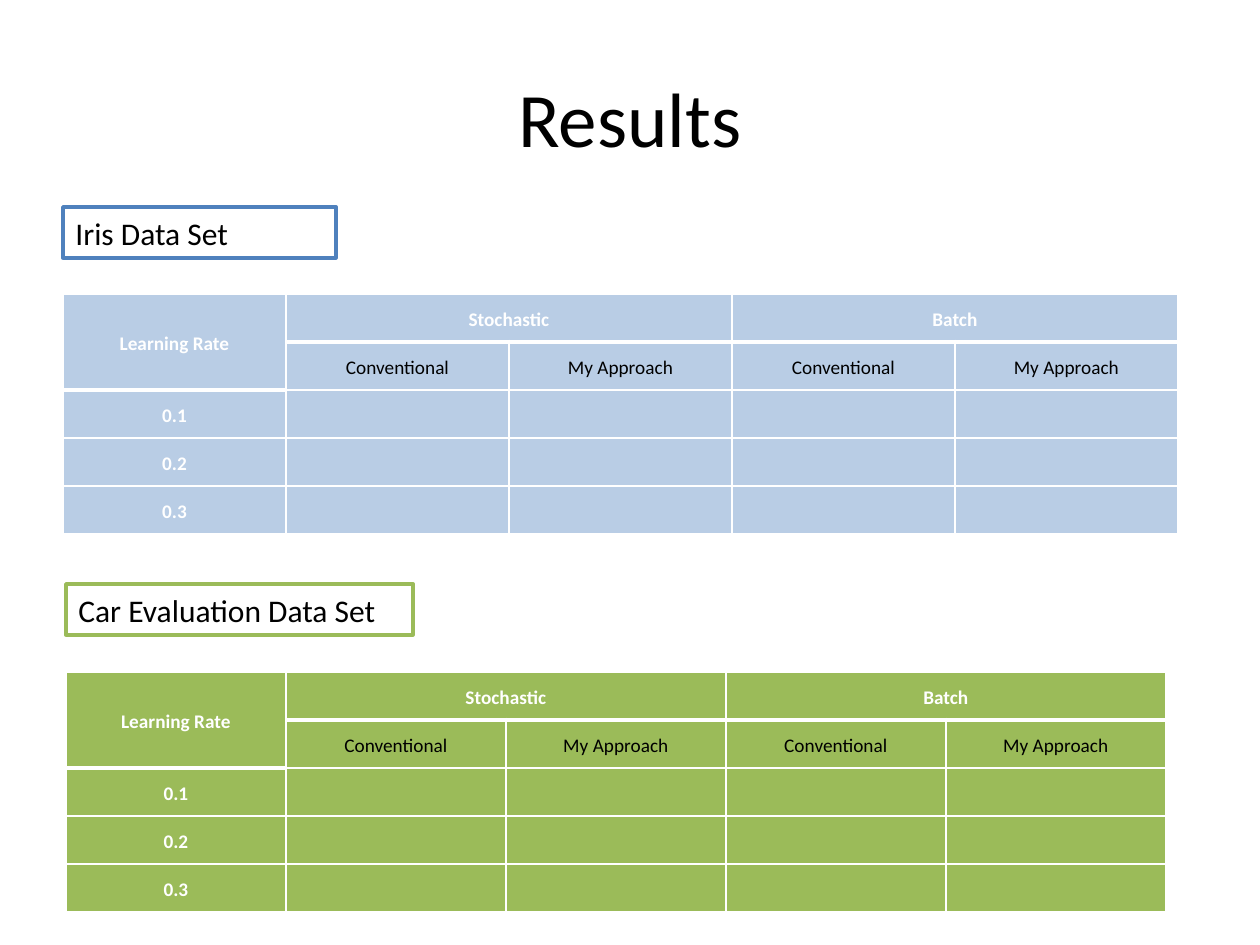
from lxml.etree import SubElement
from pptx import Presentation
from pptx.dml.color import RGBColor
from pptx.enum.shapes import MSO_SHAPE
from pptx.enum.text import MSO_ANCHOR, PP_ALIGN
from pptx.oxml.ns import qn
from pptx.util import Emu, Pt

EMU_PER_PX = 914400 / 126
FONT = "Calibri"
BLACK = RGBColor(0x00, 0x00, 0x00)
WHITE = RGBColor(0xFF, 0xFF, 0xFF)
BLUE = RGBColor(0x4F, 0x81, 0xBD)
PALE_BLUE = RGBColor(0xB9, 0xCD, 0xE5)
GREEN = RGBColor(0x9B, 0xBB, 0x59)

METHODS = ["Stochastic", "Batch"]
VARIANTS = ["Conventional", "My Approach"]
RATES = ["0.1", "0.2", "0.3"]
ROWS = [
    ["Learning Rate", METHODS[0], "", METHODS[1], ""],
    ["", *VARIANTS * len(METHODS)],
    *[[rate, "", "", "", ""] for rate in RATES],
]


def px(length):
    return Emu(round(length * EMU_PER_PX))


def add_text(text_frame, text, size, color, align, bold=False):
    paragraph = text_frame.paragraphs[0]
    paragraph.alignment = align
    run = paragraph.add_run()
    run.text = text
    run.font.name = FONT
    run.font.size = Pt(size)
    run.font.bold = bold
    run.font.color.rgb = color
    return paragraph


def add_title(slide, left, top, width, height):
    text_frame = slide.shapes.add_textbox(px(left), px(top), px(width), px(height)).text_frame
    text_frame.word_wrap = True
    text_frame.vertical_anchor = MSO_ANCHOR.MIDDLE
    add_text(text_frame, "Results", 44, BLACK, PP_ALIGN.CENTER)


def add_label(slide, left, top, width, height, text, line_color):
    shape = slide.shapes.add_shape(MSO_SHAPE.RECTANGLE, px(left), px(top), px(width), px(height))
    shape.shadow.inherit = False
    shape.fill.solid()
    shape.fill.fore_color.rgb = WHITE
    shape.line.color.rgb = line_color
    shape.line.width = Pt(2)
    shape.text_frame.word_wrap = True
    add_text(shape.text_frame, text, 18, BLACK, PP_ALIGN.LEFT)


def is_header_end(row, column):
    """True where the thick rule runs along the bottom of the cell."""
    return row == (1 if column == 0 else 0)


def set_borders(cell, top, bottom):
    properties = cell._tc.get_or_add_tcPr()
    for side, points in (("L", 1), ("R", 1), ("T", top), ("B", bottom)):
        line = SubElement(properties, qn(f"a:ln{side}"), w=str(Pt(points)))
        fill = SubElement(line, qn("a:solidFill"))
        SubElement(fill, qn("a:srgbClr"), val=str(WHITE))


def add_results_table(slide, left, top, column_width, row_height, fill_color):
    row_count, column_count = len(ROWS), len(ROWS[0])
    frame = slide.shapes.add_table(
        row_count, column_count, px(left), px(top),
        px(column_width * column_count), px(row_height * row_count))
    table = frame.table
    for column in table.columns:
        column.width = px(column_width)
    for row in table.rows:
        row.height = px(row_height)

    for row, texts in enumerate(ROWS):
        for column, text in enumerate(texts):
            cell = table.cell(row, column)
            above = 3 if is_header_end(row - 1, column) else 1
            # The two-row heading carries its thick rule on its first cell
            thick = is_header_end(row, column) or (row, column) == (0, 0)
            set_borders(cell, above, 3 if thick else 1)
            cell.fill.solid()
            cell.fill.fore_color.rgb = fill_color
            cell.vertical_anchor = MSO_ANCHOR.MIDDLE
            cell.margin_left = cell.margin_right = px(9)
            cell.margin_top = cell.margin_bottom = 0
            if text:
                heading = row == 0 or column == 0
                paragraph = add_text(cell.text_frame, text, 11, WHITE if heading else BLACK,
                                     PP_ALIGN.CENTER, heading)
                paragraph.line_spacing = 1.15

    table.cell(0, 0).merge(table.cell(1, 0))
    for column in range(1, column_count, len(VARIANTS)):
        table.cell(0, column).merge(table.cell(0, column + len(VARIANTS) - 1))


def main():
    presentation = Presentation()
    presentation.slide_width = px(1260)
    presentation.slide_height = px(945)
    slide = presentation.slides.add_slide(presentation.slide_layouts[6])
    add_title(slide, 63, 38, 1134, 158)
    add_label(slide, 63, 207, 273, 51, "Iris Data Set", BLUE)
    add_label(slide, 66, 584, 347, 51, "Car Evaluation Data Set", GREEN)
    add_results_table(slide, 63, 294, 223, 48, PALE_BLUE)
    add_results_table(slide, 66, 672, 220, 48, GREEN)
    presentation.save("out.pptx")


if __name__ == "__main__":
    main()
